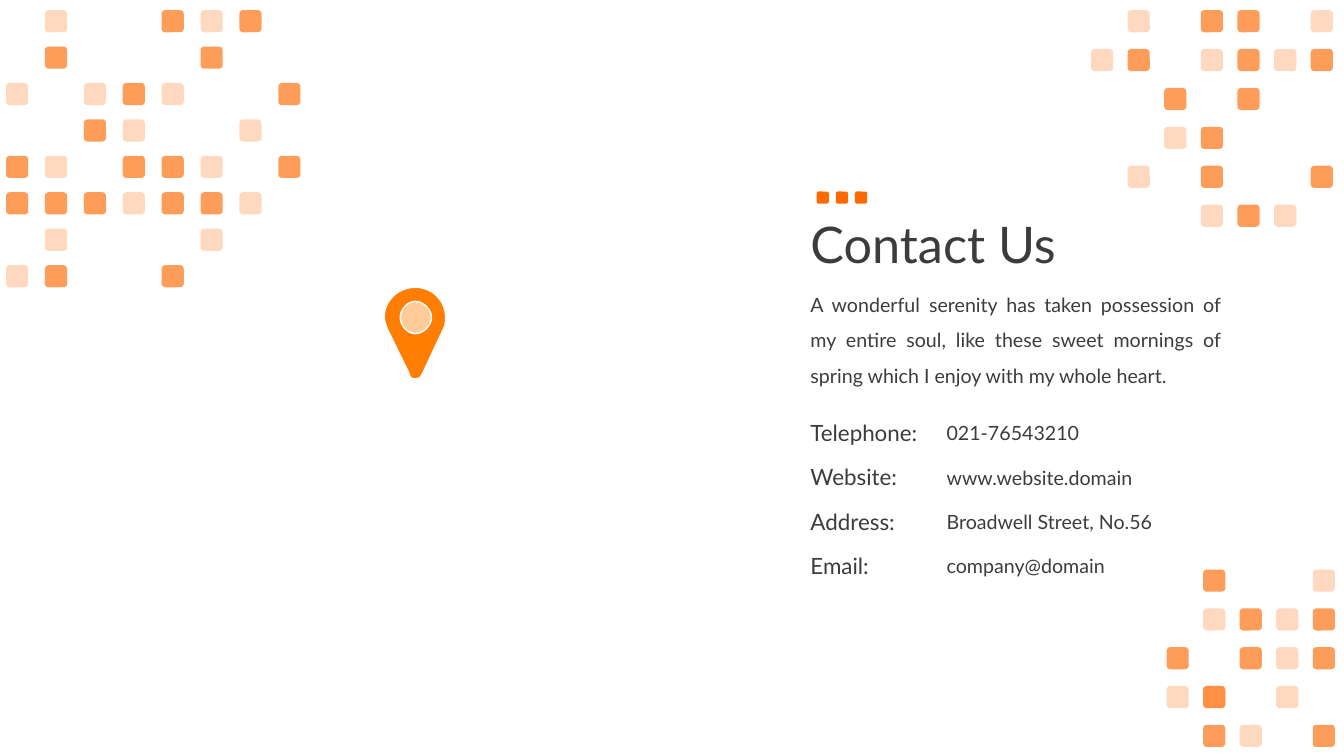
from dataclasses import dataclass

from lxml import etree
from pptx import Presentation, util as u
from pptx.dml.color import RGBColor
from pptx.enum import shapes, text
from pptx.oxml.ns import qn

ORANGE = RGBColor(0xFE, 0x69, 0x02)
PIN_ORANGE = RGBColor(0xFF, 0x7D, 0x01)
PEACH = RGBColor(0xFF, 0xCB, 0x99)
WHITE = RGBColor(0xFF, 0xFF, 0xFF)
INK = RGBColor(0x3C, 0x3C, 0x3C)
FONT = "Lato"
TILE = 0.22
# Opacity of the tiles stacked in a cell, in percent
OPACITIES = {"-": (), "o": (25,), "#": (65,), "*": (65, 25)}

Point = tuple[float, float]


@dataclass
class Mosaic:
    left: float
    top: float
    width: float  # from first to last column
    height: float  # from first to last row
    rows: list[str]


@dataclass
class Contact:
    label: str
    value: str


MOSAICS = [
    Mosaic(0.06, 0.1, 2.7, 2.53, [
        "-o--#o#-",
        "-#---#--",
        "o-o#o--#",
        "--#o--o-",
        "#o-##o-#",
        "###o##o-",
        "-o---o--",
        "o#--#---",
    ]),
    Mosaic(10.82, 0.1, 2.18, 1.93, [
        "-o-##-o",
        "o#-o#o#",
        "--#-#--",
        "--o#---",
        "-o-#--#",
        "---o#o-",
    ]),
    Mosaic(11.57, 5.65, 1.45, 1.54, [
        "-#--o",
        "-o#o#",
        "#-#o#",
        "o*-o-",
        "-#o-#",
    ]),
]

CONTACTS = [
    Contact("Telephone:", "021-76543210"),
    Contact("Website:", "www.website.domain"),
    Contact("Address:", "Broadwell Street, No.56"),
    Contact("Email:", "company@domain"),
]

# Pin contours: a start point, then Bezier curves as two controls and an end
PIN_BODY = [(4.4, 3.26),
            (4.19, 3.71), (4.19, 3.71), (4.19, 3.71),
            (4.17, 3.75), (4.15, 3.76), (4.12, 3.76),
            (4.09, 3.76), (4.06, 3.75), (4.06, 3.71),
            (3.84, 3.26), (3.84, 3.26), (3.84, 3.26),
            (3.83, 3.23), (3.81, 3.18), (3.81, 3.15),
            (3.81, 2.98), (3.95, 2.85), (4.12, 2.85),
            (4.29, 2.85), (4.42, 2.98), (4.42, 3.15),
            (4.42, 3.18), (4.42, 3.23), (4.4, 3.26)]
PIN_HOLE = [(4.12, 2.99),
            (4.04, 2.99), (3.97, 3.07), (3.97, 3.15),
            (3.97, 3.23), (4.04, 3.31), (4.12, 3.31),
            (4.2, 3.31), (4.28, 3.23), (4.28, 3.15),
            (4.28, 3.07), (4.2, 2.99), (4.12, 2.99)]


def paint(sp, color: RGBColor, opacity: int = 100, line: RGBColor | None = None) -> None:
    sp.shadow.inherit = False
    sp.fill.solid()
    sp.fill.fore_color.rgb = color
    if opacity < 100:
        clr = sp._element.spPr.find(qn("a:solidFill")).find(qn("a:srgbClr"))
        etree.SubElement(clr, qn("a:alpha")).set("val", str(opacity * 1000))
    if line is None:
        sp.line.fill.background()
    else:
        sp.line.color.rgb = line
        sp.line.width = u.Pt(1)


def add_tile(parent, x: float, y: float, size: float, opacity: int = 100) -> None:
    sp = parent.add_shape(shapes.MSO_SHAPE.ROUNDED_RECTANGLE,
                          u.Inches(x), u.Inches(y), u.Inches(size), u.Inches(size))
    paint(sp, ORANGE, opacity)


def add_mosaic(s, m: Mosaic) -> None:
    group = s.shapes.add_group_shape().shapes
    dx = m.width / (len(m.rows[0]) - 1)
    dy = m.height / (len(m.rows) - 1)
    for i, row in enumerate(m.rows):
        for j, cell in enumerate(row):
            for opacity in OPACITIES[cell]:
                add_tile(group, m.left + j * dx, m.top + i * dy, TILE, opacity)


def to_emu(contour: list[Point]) -> list[tuple[int, int]]:
    return [(u.Inches(x), u.Inches(y)) for x, y in contour]


def curve_segments(sp) -> None:
    """Turn every three line segments of a freeform into one Bezier curve."""
    segments = list(sp._element.iter(qn("a:lnTo")))
    for first, second, third in zip(*[iter(segments)] * 3):
        first.tag = qn("a:cubicBezTo")
        for segment in (second, third):
            first.append(segment[0])
            segment.getparent().remove(segment)


def add_curves(parent, contours: list[list[Point]]):
    first, *others = [to_emu(contour) for contour in contours]
    outline = parent.build_freeform(*first[0])
    outline.add_line_segments(first[1:])
    for contour in others:
        outline.move_to(*contour[0])
        outline.add_line_segments(contour[1:])
    sp = outline.convert_to_shape()
    # A tag cannot be renamed in place on typed elements, so rebuild each curve
    curve_segments(sp)
    return sp


def add_pin(s) -> None:
    group = s.shapes.add_group_shape().shapes
    dot = group.add_shape(shapes.MSO_SHAPE.OVAL, u.Inches(3.94), u.Inches(2.96),
                          u.Inches(0.35), u.Inches(0.35))
    paint(dot, PEACH, line=WHITE)
    paint(add_curves(group, [PIN_BODY, PIN_HOLE]), PIN_ORANGE, line=WHITE)


def add_text(s, words: str, x: float, y: float, w: float, h: float, *, size: int = 14,
             align=text.PP_ALIGN.LEFT, anchor=text.MSO_ANCHOR.TOP,
             spacing: float = 1.0) -> None:
    tf = s.shapes.add_textbox(u.Inches(x), u.Inches(y), u.Inches(w), u.Inches(h)).text_frame
    tf.word_wrap = True
    tf.vertical_anchor = anchor
    p = tf.paragraphs[0]
    p.alignment = align
    p.line_spacing = spacing
    r = p.add_run()
    r.text = words
    r.font.name = FONT
    r.font.size = u.Pt(size)
    r.font.color.rgb = INK


def main() -> None:
    prs = Presentation()
    prs.slide_width, prs.slide_height = u.Inches(13.33), u.Inches(7.5)
    s = prs.slides.add_slide(prs.slide_layouts[6])

    # Corner mosaics and map pin
    for mosaic in MOSAICS:
        add_mosaic(s, mosaic)
    add_pin(s)

    # Heading with its three small squares
    accent = s.shapes.add_group_shape().shapes
    for i in range(3):
        add_tile(accent, 8.1 + i * 0.19, 1.9, 0.12)
    add_text(s, "Contact Us", 7.94, 1.73, 11.5, 1.45, size=36,
             anchor=text.MSO_ANCHOR.MIDDLE, spacing=0.9)
    add_text(s, "A wonderful serenity has taken possession of my entire soul, like these "
             "sweet mornings of spring which I enjoy with my whole heart.",
             7.94, 2.74, 4.27, 1.11, align=text.PP_ALIGN.JUSTIFY, spacing=1.5)

    # Contact details
    for i, contact in enumerate(CONTACTS):
        y = 4.11 + i * 0.44
        add_text(s, contact.label, 7.94, y, 2.08, 0.37, size=16)
        add_text(s, contact.value, 9.29, y + 0.02, 2.57, 0.34)

    prs.save("out.pptx")


if __name__ == "__main__":
    main()
